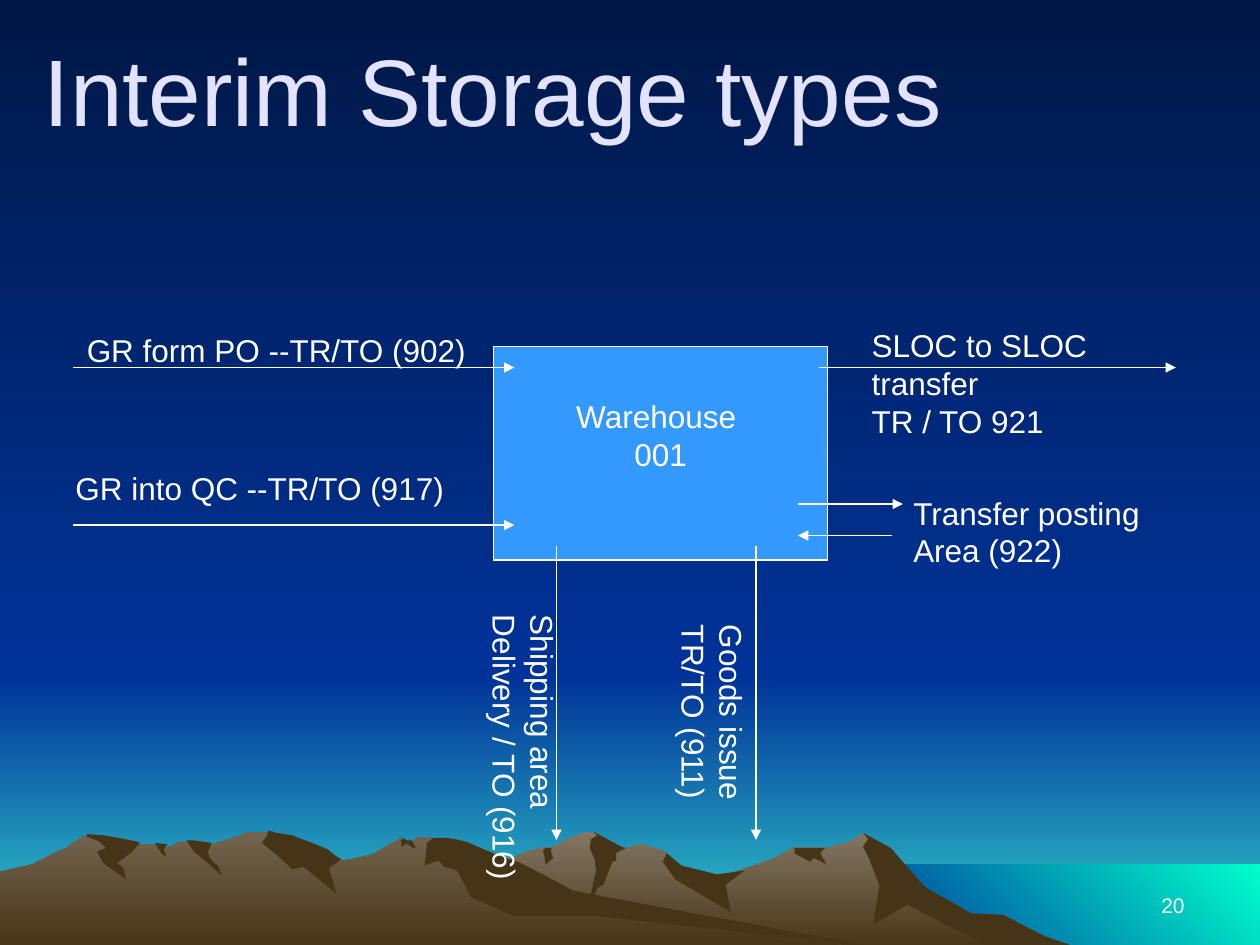
"""Build the warehouse interim storage types slide."""
from dataclasses import dataclass

from lxml import etree
from pptx import Presentation
from pptx.dml.color import RGBColor
from pptx.enum.shapes import MSO_CONNECTOR, MSO_SHAPE
from pptx.enum.text import MSO_ANCHOR, MSO_AUTO_SIZE, PP_ALIGN
from pptx.oxml.ns import qn
from pptx.util import Pt

STRAIGHT = MSO_CONNECTOR.STRAIGHT
RECTANGLE = MSO_SHAPE.RECTANGLE
TOP, MIDDLE, BOTTOM = MSO_ANCHOR.TOP, MSO_ANCHOR.MIDDLE, MSO_ANCHOR.BOTTOM
LEFT, CENTER, RIGHT = PP_ALIGN.LEFT, PP_ALIGN.CENTER, PP_ALIGN.RIGHT
FIT_SHAPE = MSO_AUTO_SIZE.SHAPE_TO_FIT_TEXT
DOWN, DOWN_LEFT = 270, 225
OUTLINE_UNIT = 0.72


@dataclass(frozen=True)
class Theme:
    font: str = "Arial"
    title_size: int = 54
    body_size: int = 18
    number_size: int = 12
    line_width: float = 0.75
    title: str = "E3E3FF"
    white: str = "FFFFFF"
    box: str = "3399FF"
    sky: tuple = ("001746", "003399")
    horizon: tuple = ("003399", "33CCCC")
    sea: tuple = ("00FFCC", "003399")
    far_ridge: tuple = ("837763", "463416")
    near_ridge: tuple = ("72644E", "463416")
    shade: str = "463416"


FAR_RIDGE = [
    (802, 741), (778, 728), (763, 725), (723, 699), (701, 673), (685, 661), (675, 668),
    (656, 673), (629, 673), (613, 682), (566, 698), (536, 691), (529, 677), (526, 675),
    (509, 670), (497, 673), (485, 675), (474, 662), (471, 660), (465, 660), (450, 666),
    (438, 673), (429, 673), (418, 676), (404, 682), (394, 687), (355, 699), (327, 711),
    (277, 740), (258, 753), (821, 753)]
FAR_SHADES = [
    [(796, 726), (771, 725), (734, 704), (707, 673), (685, 661), (689, 666), (685, 672),
     (690, 682), (698, 703), (693, 734), (720, 718), (788, 753), (858, 753), (829, 743)],
    [(471, 660), (474, 663), (469, 666), (468, 673), (472, 682), (473, 691), (465, 728),
     (474, 705), (479, 702), (486, 684), (489, 683), (489, 677), (497, 673), (493, 672)],
    [(529, 677), (528, 680), (526, 684), (536, 698), (580, 724), (576, 702), (591, 691),
     (569, 694), (541, 687)],
    [(649, 673), (630, 673), (631, 674), (631, 676), (630, 677), (643, 684), (646, 681),
     (656, 686), (651, 677), (655, 673)],
    [(432, 679), (431, 675), (433, 673), (438, 673), (439, 671), (437, 675), (439, 681),
     (433, 686)]]
NEAR_RIDGE = [
    (690, 753), (667, 750), (432, 714), (354, 666), (331, 664), (327, 669), (323, 669),
    (318, 665), (296, 678), (279, 682), (271, 683), (259, 678), (235, 682), (223, 664),
    (219, 662), (212, 660), (196, 660), (191, 663), (178, 667), (160, 673), (148, 668),
    (143, 668), (132, 673), (127, 673), (122, 670), (111, 670), (94, 673), (67, 663),
    (56, 670), (53, 673), (45, 676), (26, 686), (13, 689), (0, 692), (0, 753)]
NEAR_SHADES = [
    [(212, 663), (208, 669), (219, 678), (232, 690), (241, 688), (267, 709), (261, 689),
     (271, 682), (266, 679), (260, 674), (245, 668), (232, 663), (219, 661), (213, 659)],
    [(370, 668), (361, 666), (354, 665), (344, 665), (339, 669), (337, 687), (348, 683),
     (353, 688), (363, 691), (374, 712), (407, 727), (472, 727), (690, 751), (455, 707),
     (427, 692), (411, 684), (401, 681), (386, 675)],
    [(318, 667), (320, 666), (318, 664), (323, 667), (327, 667), (330, 673), (328, 673),
     (322, 669), (322, 670), (319, 672)],
    [(154, 667), (161, 668), (168, 669), (165, 676), (166, 680), (169, 684), (173, 687),
     (176, 695), (165, 685), (154, 676), (148, 667)],
    [(133, 670), (130, 674), (132, 680), (129, 678), (126, 674), (123, 669)],
    [(109, 668), (111, 669), (105, 676), (93, 685), (98, 689), (100, 698), (82, 685),
     (77, 676), (84, 673), (79, 668), (69, 664), (69, 662), (82, 663), (94, 665)]]
ARROWS = [
    (42, 210, 294, 210), (42, 300, 294, 300), (318, 312, 318, 480), (432, 312, 432, 480),
    (456, 288, 516, 288), (510, 306, 456, 306), (468, 210, 672, 210)]
LABELS = [
    ("GR form PO --TR/TO (902)", 42.5, 185.8, 231, 29),
    ("GR into QC --TR/TO (917)", 36, 264.2, 225.4, 29),
    ("Transfer posting\nArea (922)", 514.8, 278.6, 144, 50.4),
    ("SLOC to SLOC transfer\nTR / TO 921", 491, 182.9, 203, 50.4)]
VERTICAL_LABELS = [
    ("Shipping area\nDelivery / TO (916)", 267.1, 344.2, 57.6, 159.1),
    ("Goods issue\nTR/TO (911)", 375.1, 349.9, 57.6, 112.3)]


class SlideBuilder:
    """Draw styled elements on one slide."""

    def __init__(self, slide, theme):
        self.slide = slide
        self.theme = theme

    def paint(self, fill, color, angle=DOWN):
        if isinstance(color, str):
            fill.solid()
            fill.fore_color.rgb = RGBColor.from_string(color)
            return
        fill.gradient()
        fill.gradient_angle = angle
        for stop, stop_color in zip(fill.gradient_stops, color):
            stop.color.rgb = RGBColor.from_string(stop_color)

    def finish(self, shape, color, angle=DOWN):
        shape.shadow.inherit = False
        self.paint(shape.fill, color, angle)
        shape.line.fill.background()
        return shape

    def rectangle(self, left, top, width, height, color, angle=DOWN):
        shape = self.slide.shapes.add_shape(
            RECTANGLE, Pt(left), Pt(top), Pt(width), Pt(height))
        return self.finish(shape, color, angle)

    def outline(self, points, color):
        builder = self.slide.shapes.build_freeform(*points[0], scale=Pt(OUTLINE_UNIT))
        builder.add_line_segments(points[1:], close=True)
        return self.finish(builder.convert_to_shape(), color)

    def set_text(self, shape, text, size, color, align=LEFT, anchor=TOP, wrap=False):
        frame = shape.text_frame
        frame.text = text
        frame.word_wrap = wrap
        frame.vertical_anchor = anchor
        for paragraph in frame.paragraphs:
            paragraph.alignment = align
            for run in paragraph.runs:
                run.font.name = self.theme.font
                run.font.size = Pt(size)
                run.font.color.rgb = RGBColor.from_string(color)
        return frame

    def text(self, text, left, top, width, height, size, color, **layout):
        shape = self.slide.shapes.add_textbox(Pt(left), Pt(top), Pt(width), Pt(height))
        return self.set_text(shape, text, size, color, **layout)

    def label(self, text, left, top, width, height):
        frame = self.text(text, left, top, width, height,
                          self.theme.body_size, self.theme.white)
        frame.auto_size = FIT_SHAPE
        return frame

    def vertical_label(self, text, left, top, width, height):
        frame = self.label(text, left, top, width, height)
        frame.margin_left = frame.margin_right = Pt(3.6)
        frame.margin_top = frame.margin_bottom = Pt(7.2)
        frame._txBody.bodyPr.set("vert", "eaVert")

    def box(self, text, left, top, width, height, margin_bottom):
        shape = self.rectangle(left, top, width, height, self.theme.box)
        self.paint(shape.line.fill, self.theme.white)
        shape.line.width = Pt(self.theme.line_width)
        frame = self.set_text(shape, text, self.theme.body_size, self.theme.white,
                              align=CENTER, anchor=MIDDLE)
        frame.margin_bottom = Pt(margin_bottom)

    def arrow(self, *ends):
        connector = self.slide.shapes.add_connector(STRAIGHT, *map(Pt, ends))
        self.paint(connector.line.fill, self.theme.white)
        connector.line.width = Pt(self.theme.line_width)
        etree.SubElement(connector.line._get_or_add_ln(), qn("a:tailEnd"), type="triangle")
        etree.SubElement(connector._element.spPr, qn("a:effectLst"))

    def landscape(self):
        theme = self.theme
        self.paint(self.slide.background.fill, theme.sky)
        self.rectangle(0, 386, 720, 154, theme.horizon)
        self.rectangle(0, 1.5, 720, 384.5, theme.sky)
        self.rectangle(492, 494, 228, 46, theme.sea, DOWN_LEFT)
        for ridge, color, shades in ((FAR_RIDGE, theme.far_ridge, FAR_SHADES),
                                     (NEAR_RIDGE, theme.near_ridge, NEAR_SHADES)):
            self.outline(ridge, color)
            for shade in shades:
                self.outline(shade, theme.shade)


def main():
    presentation = Presentation()
    presentation.slide_width, presentation.slide_height = Pt(720), Pt(540)
    theme = Theme()
    slide = presentation.slides.add_slide(presentation.slide_layouts[6])
    builder = SlideBuilder(slide, theme)
    builder.landscape()
    builder.text("Interim Storage types", 18, 12, 648, 78, theme.title_size, theme.title,
                 anchor=MIDDLE, wrap=True)
    builder.box("Warehouse \n001", 282, 198, 191, 122, margin_bottom=24.3)
    for arrow in ARROWS:
        builder.arrow(*arrow)
    for label in LABELS:
        builder.label(*label)
    for label in VERTICAL_LABELS:
        builder.vertical_label(*label)
    builder.text("20", 516, 492, 168, 36, theme.number_size, theme.white,
                 align=RIGHT, anchor=BOTTOM, wrap=True)
    presentation.save("out.pptx")


if __name__ == "__main__":
    main()
